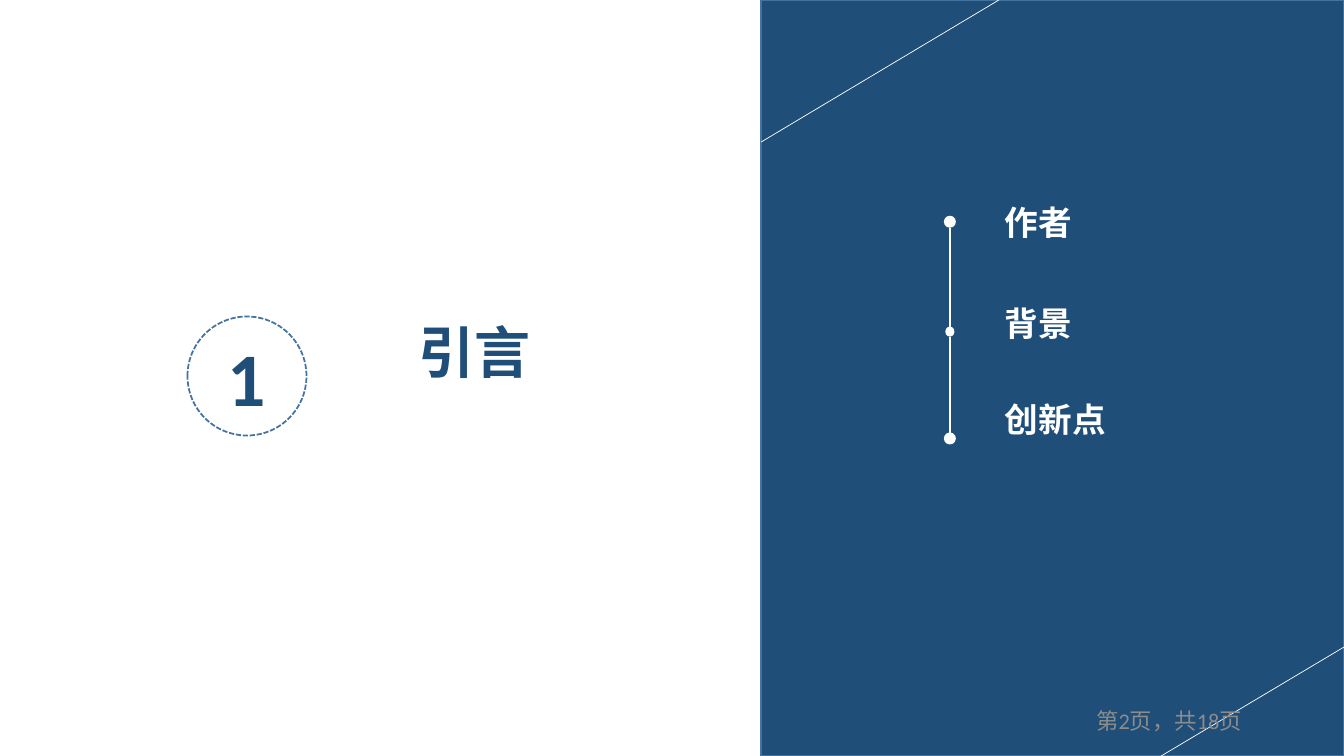
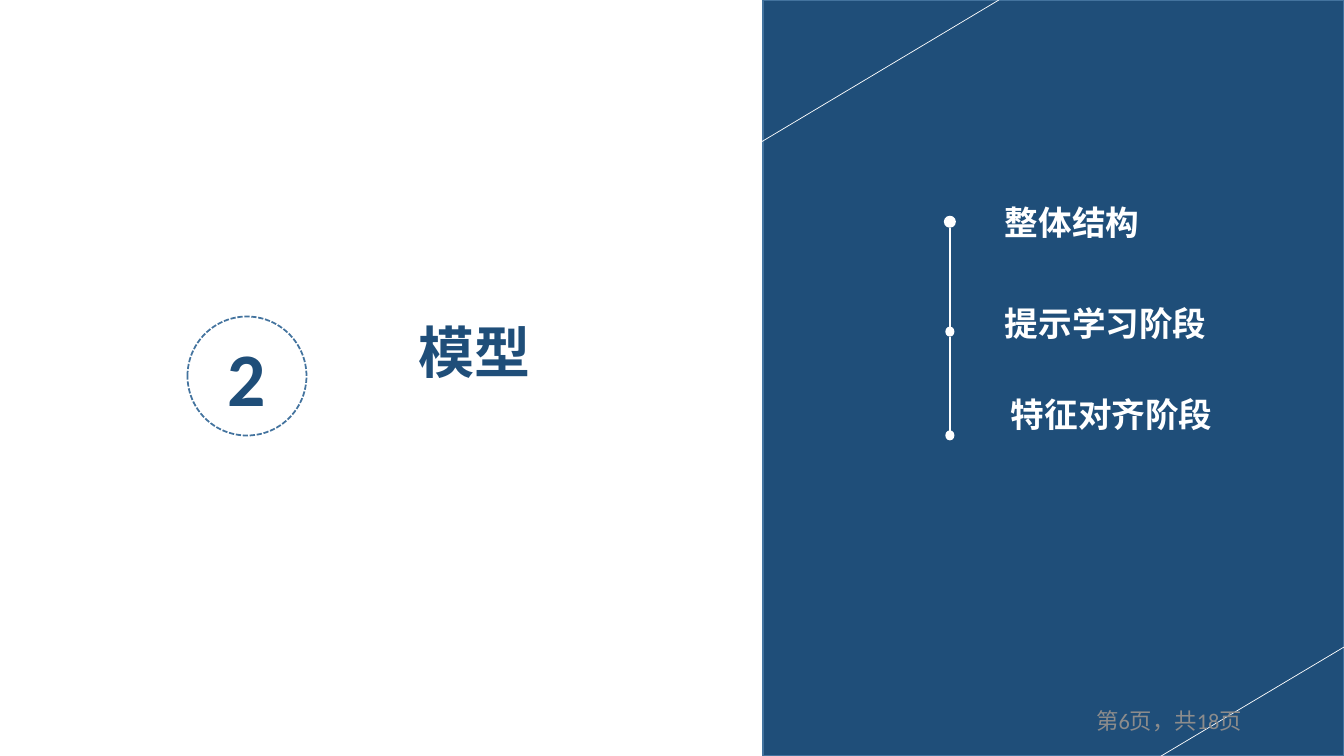
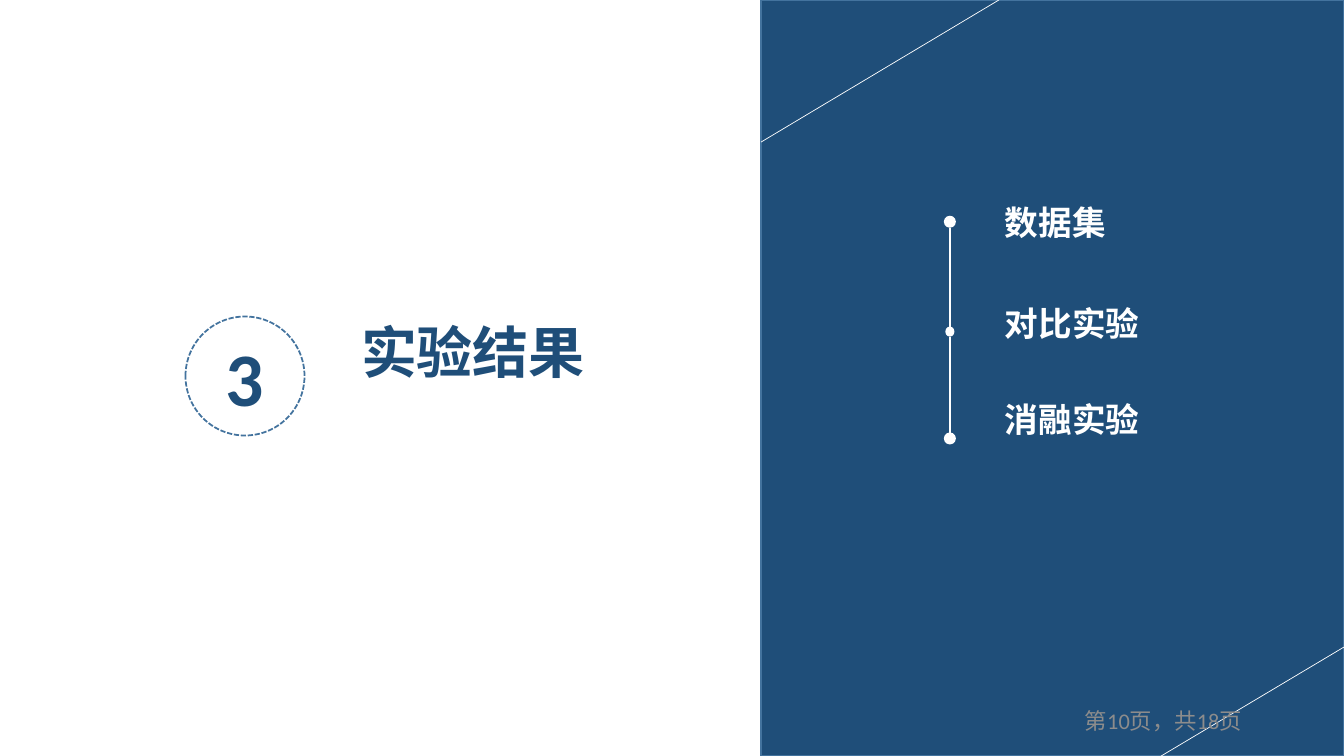
import pptx
import pptx.util
import pptx.dml.color
import pptx.enum.dml
import pptx.enum.shapes
import pptx.enum.text
import pptx.oxml
import pptx.oxml.ns

Pt = pptx.util.Pt
RGB = pptx.dml.color.RGBColor.from_string
KIND = pptx.enum.shapes.MSO_SHAPE
ALIGN = pptx.enum.text.PP_ALIGN
ANCHOR = pptx.enum.text.MSO_ANCHOR
qn = pptx.oxml.ns.qn

# Shared style
HUE = {"navy": "1F4E79", "edge": "43739E", "white": "FFFFFF", "grey": "8C8C8C"}
HAN, LATIN = "Noto Sans CJK SC", "Calibri"
WIDE, HIGH = 960, 540
AXIS = 678.5     # centre of the timeline
LINE = 34.75     # height of one line of the list
TOTAL = 18

# Content: dots are (centre y, width, height), list tops in points
BIG, SMALL = (8.6, 8.6), (6.5, 7.2)
TOPS = [140.4, 218.9, 293]
DOTS = [(158.4, *BIG), (236.9, *SMALL), (313.2, *BIG)]
PARTS = [
    dict(num=1, page=2, name="引言", items=["作者", "背景", "创新点"],
         left=133.9, edge=543.6, tops=TOPS, dots=DOTS, shift=0),
    dict(num=2, page=6, name="模型",
         items=["整体结构", "提示学习阶段", "特征对齐阶段"],
         left=133.9, edge=545, tops=TOPS[:2] + [289.4],
         dots=DOTS[:2] + [(311, *SMALL)], shift=4.3),
    dict(num=3, page=10, name="实验结果",
         items=["数据集", "对比实验", "消融实验"],
         left=132.5, edge=543.6, tops=TOPS, dots=DOTS, shift=0),
]


def write(para, text, size, hue, font=HAN, bold=True, align=ALIGN.LEFT):
    """Add one styled run to a paragraph."""
    para.alignment = align
    run = para.add_run()
    run.text = text
    run.font.size = Pt(size)
    run.font.bold = bold
    run.font.name = font
    run.font.color.rgb = RGB(HUE[hue])
    east = run.font._element.makeelement(qn("a:ea"), {"typeface": HAN})
    run.font._element.find(qn("a:latin")).addnext(east)


def draw(slide, kind, box, fill, edge=None, width=1):
    """Add a flat preset shape, or a line when kind is None."""
    if kind is None:
        form = slide.shapes.add_connector(
            pptx.enum.shapes.MSO_CONNECTOR.STRAIGHT, *map(Pt, box))
        props = form._element.spPr
        form.line.color.rgb = RGB(HUE[fill])
        form.line.width = Pt(width)
        props.append(props.makeelement(qn("a:effectLst"), {}))
        return form
    form = slide.shapes.add_shape(kind, *map(Pt, box))
    form.shadow.inherit = False
    form.fill.solid()
    form.fill.fore_color.rgb = RGB(HUE[fill])
    if edge:
        form.line.color.rgb = RGB(HUE[edge])
        form.line.width = Pt(width)
    else:
        form.line.fill.background()
    return form


deck = pptx.Presentation()
deck.slide_width, deck.slide_height = Pt(WIDE), Pt(HIGH)

for part in PARTS:
    slide = deck.slides.add_slide(deck.slide_layouts[1])
    title, body = slide.placeholders

    # Number in a dashed ring
    ring = draw(slide, KIND.OVAL, (part["left"], 226.1, 85, 85),
                "white", "edge", 1.25)
    ring.line.dash_style = pptx.enum.dml.MSO_LINE.SQUARE_DOT
    ring.text_frame.vertical_anchor = ANCHOR.MIDDLE
    write(ring.text_frame.paragraphs[0], str(part["num"]), 54, "navy",
          LATIN, align=ALIGN.CENTER)

    # Title
    title.left, title.top = Pt(part["left"] + 92.6), Pt(223.2)
    title.width, title.height = Pt(225.4), Pt(55.4)
    title.text_frame.vertical_anchor = ANCHOR.TOP
    title.text_frame.auto_size = pptx.enum.text.MSO_AUTO_SIZE.NONE
    write(title.text_frame.paragraphs[0], part["name"], 40, "navy",
          align=ALIGN.CENTER)

    # Panel with its two slanted lines
    edge = part["edge"]
    draw(slide, KIND.RECTANGLE, (edge, 0, WIDE - edge, HIGH), "navy", "edge")
    draw(slide, None, (713.5, 0, 543.6, 101.5), "white", width=0.5)
    draw(slide, None, (WIDE, 462.2, 829.4, HIGH), "white", width=0.5)

    # Timeline
    dots = part["dots"]
    for (above, _, tall), (below, _, _) in zip(dots, dots[1:]):
        draw(slide, None, (AXIS, above + tall / 2, AXIS, below), "white")
    for mid, wide, tall in dots:
        draw(slide, KIND.OVAL, (AXIS - wide / 2, mid - tall / 2, wide, tall),
             "white")

    # List, raised above the panel
    slide.shapes._spTree.append(body._element)
    tops = part["tops"]
    body.left, body.top = Pt(710.6), Pt(tops[0])
    body.width, body.height = Pt(214), Pt(190)
    frame = body.text_frame
    frame.auto_size = pptx.enum.text.MSO_AUTO_SIZE.NONE
    for i, item in enumerate(part["items"]):
        para = frame.add_paragraph() if i else frame.paragraphs[0]
        gap = tops[i] - tops[i - 1] - LINE if i else 0
        para.space_before = Pt(gap)
        write(para, item, 24, "white")
        props = para._p.get_or_add_pPr()
        indent = part["shift"] if i == 2 else 0
        props.set("marL", str(Pt(indent)))
        props.set("indent", "0")
        props.append(props.makeelement(qn("a:buNone"), {}))

    # Page count
    foot = slide.shapes.add_textbox(Pt(678.2), Pt(500.4), Pt(216), Pt(28.8))
    foot.text_frame.word_wrap = True
    foot.text_frame.vertical_anchor = ANCHOR.MIDDLE
    write(foot.text_frame.paragraphs[0], f"第{part['page']}页，共{TOTAL}页",
          16, "grey", LATIN, False, ALIGN.RIGHT)

deck.save("out.pptx")
